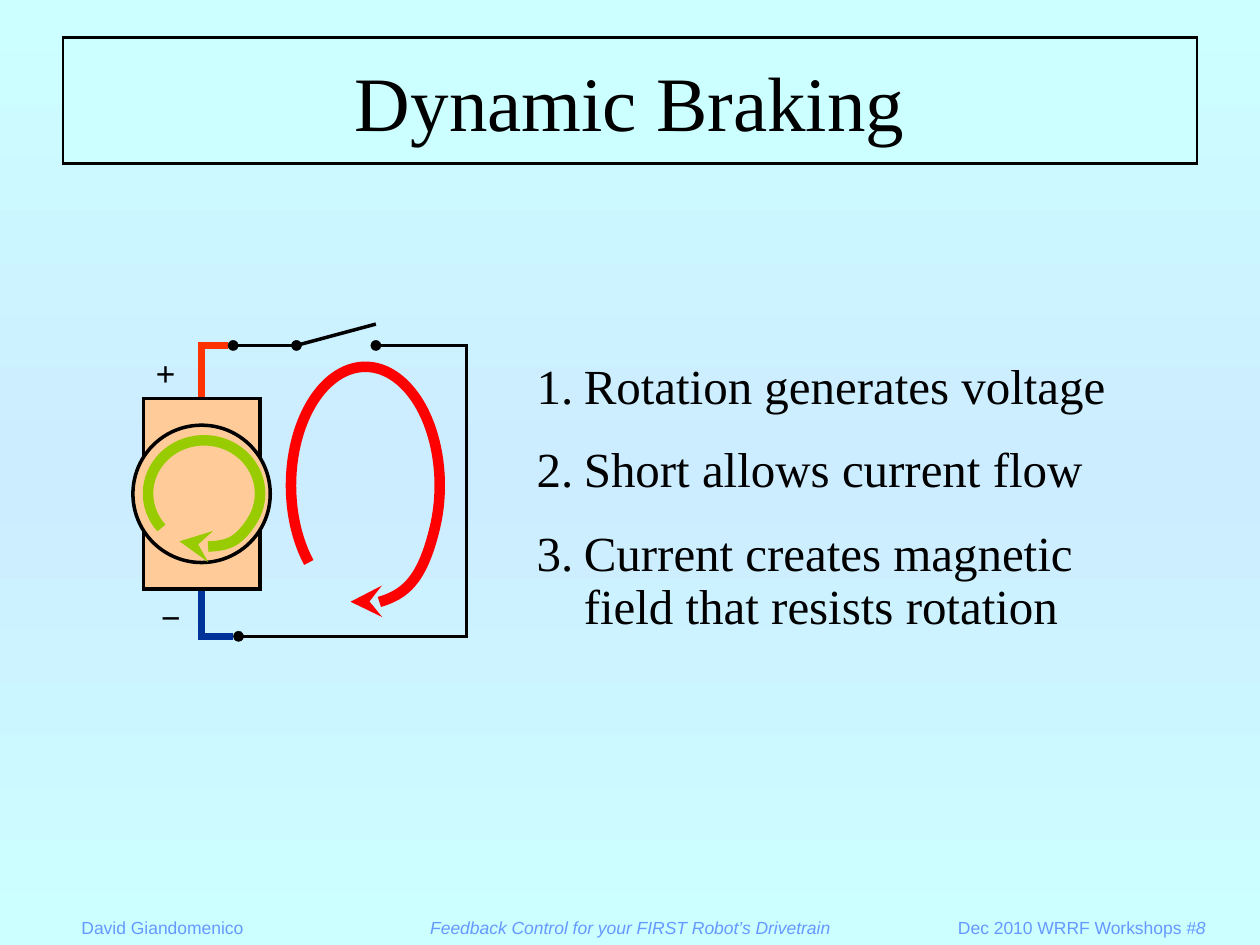
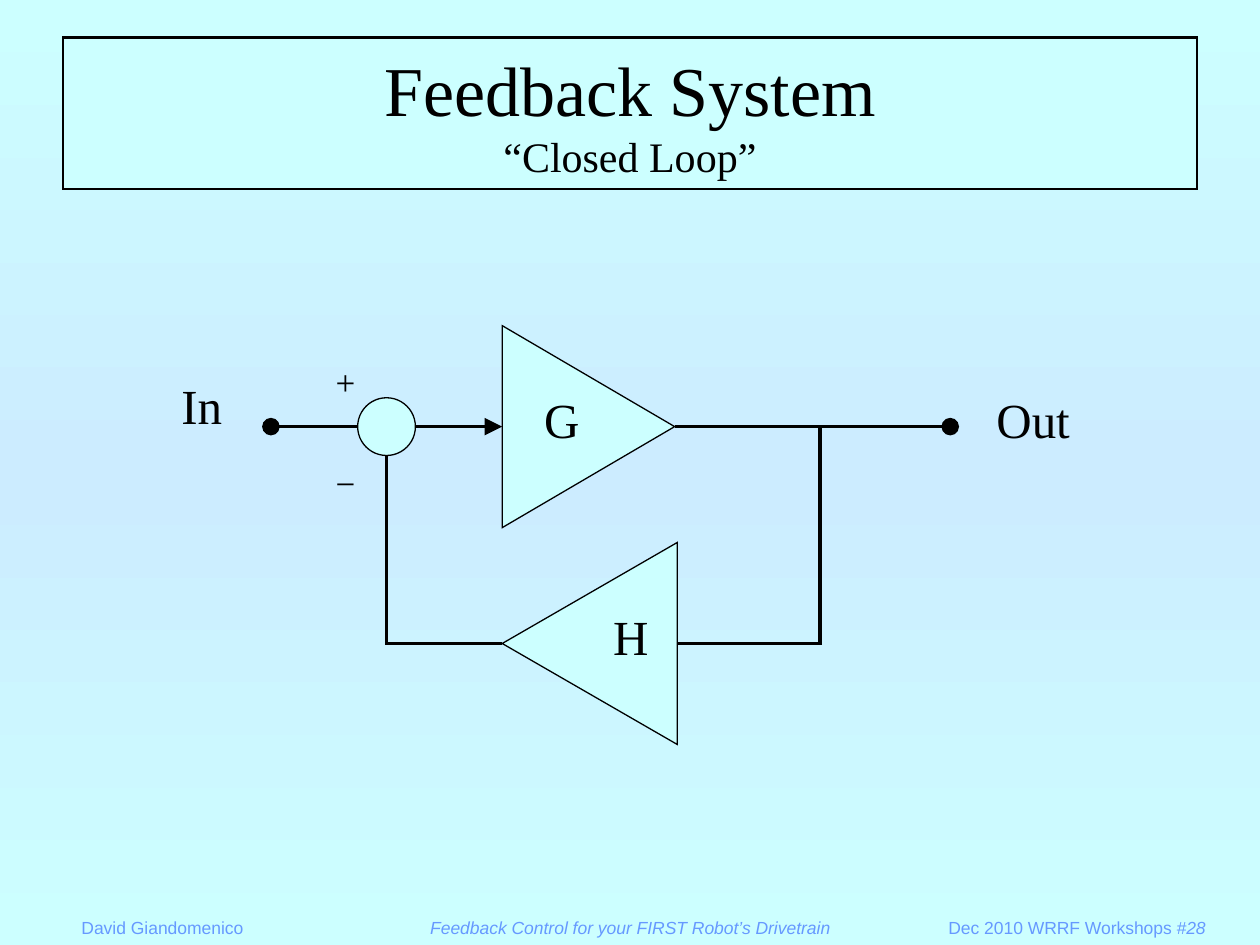
"""Builds two workshop slides: dynamic braking and a closed feedback loop."""
from copy import deepcopy
from math import cos, radians, sin, tan

from lxml import etree
from pptx import Presentation
from pptx.dml.color import RGBColor
from pptx.enum.shapes import MSO_CONNECTOR, MSO_SHAPE
from pptx.enum.text import MSO_ANCHOR, PP_ALIGN
from pptx.oxml.ns import qn
from pptx.util import Pt

RECTANGLE, OVAL = MSO_SHAPE.RECTANGLE, MSO_SHAPE.OVAL
TRIANGLE = MSO_SHAPE.ISOSCELES_TRIANGLE
STRAIGHT, ELBOW = MSO_CONNECTOR.STRAIGHT, MSO_CONNECTOR.ELBOW
LEFT, CENTER, RIGHT = PP_ALIGN.LEFT, PP_ALIGN.CENTER, PP_ALIGN.RIGHT
TOP, MIDDLE, BOTTOM = MSO_ANCHOR.TOP, MSO_ANCHOR.MIDDLE, MSO_ANCHOR.BOTTOM

COLORS = {
    "black": "000000", "pale": "CCFFFF", "sky": "CCECFF", "footer": "6699FF",
    "motor": "FFCC99", "positive": "FF3300", "negative": "003399",
    "current": "FF0000", "rotation": "99CC00",
}
BACKGROUND = [(0, "pale"), (0.5, "sky"), (1, "pale")]
BODY_FONT, FOOTER_FONT = "Times New Roman", "Arial"

AUTHOR = "David Giandomenico"
TALK = "Feedback Control for your FIRST Robot’s Drivetrain"
EVENT = "Dec 2010 WRRF Workshops "

BRAKING_TITLE = [("Dynamic Braking", {"size": 44})]
BRAKING_STEPS = [
    "Rotation generates voltage",
    "Short allows current flow",
    "Current creates magnetic field that resists rotation",
]
TERMINAL_SIGNS = [("+", 94.7, 213.1), ("−", 97.6, 352.5)]

FEEDBACK_TITLE = [("Feedback System", {"size": 40}), ("“Closed Loop”", {"size": 24})]
LOOP_LABELS = [("In", 115.2, 231.5), ("Out", 590.4, 239.4),
               ("G", 321.1, 239.4), ("H", 360.5, 363.4)]
SUM_SIGNS = [("+", 197.4, 218.2), ("−", 197.4, 276)]


def color(name):
    return RGBColor.from_string(COLORS[name])


def write(shape, paragraphs, *, size=28, font=BODY_FONT, ink="black", bold=False,
          align=CENTER, anchor=TOP, wrap=True, numbered=False):
    """Each paragraph is a list of (text, format) runs."""
    frame = shape.text_frame
    frame.word_wrap, frame.vertical_anchor = wrap, anchor
    for index, runs in enumerate(paragraphs):
        paragraph = frame.add_paragraph() if index else frame.paragraphs[0]
        paragraph.alignment = align
        if numbered:
            properties = paragraph._p.get_or_add_pPr()
            properties.set("marL", str(Pt(27)))
            properties.set("indent", str(-Pt(27)))
            etree.SubElement(properties, qn("a:buAutoNum"), type="arabicPeriod")
            paragraph.line_spacing = 0.9
            if index:
                paragraph.space_before = Pt(17.5)
        for text, style in runs:
            run = paragraph.add_run()
            run.text = text
            run.font.name = font
            run.font.size = Pt(style.get("size", size))
            run.font.bold = bold
            run.font.italic = style.get("italic", False)
            run.font.color.rgb = color(ink)


def add_text(slide, box, paragraphs, **style):
    write(slide.shapes.add_textbox(*map(Pt, box)), paragraphs, **style)


def add_labels(slide, labels, size, bold=False):
    height = 1.1 * size + 10
    for text, x, y in labels:
        width = size * (0.55 + 0.75 * len(text))
        add_text(slide, (x - width / 2, y - height / 2, width, height),
                 [[(text, {})]], size=size, bold=bold, wrap=False)


def draw_line(shape, ink, width, head=None, tail=None, arrow_size="med"):
    shape.line.color.rgb = color(ink)
    shape.line.width = Pt(width)
    line = shape.line._get_or_add_ln()
    etree.SubElement(line, qn("a:miter"), lim="800000")
    for end, arrow in (("a:headEnd", head), ("a:tailEnd", tail)):
        if arrow:
            etree.SubElement(line, qn(end), type=arrow, w=arrow_size, len=arrow_size)


def add_shape(slide, kind, box, fill, width):
    shape = slide.shapes.add_shape(kind, *map(Pt, box))
    shape.shadow.inherit = False
    shape.fill.solid()
    shape.fill.fore_color.rgb = color(fill)
    draw_line(shape, "black", width)
    return shape


def add_circle(slide, x, y, diameter, fill, width):
    radius = diameter / 2
    return add_shape(slide, OVAL, (x - radius, y - radius, diameter, diameter), fill, width)


def add_wire(slide, begin, end, ink="black", width=2, bend=None, **arrows):
    """A bend is the share of the horizontal span where the wire turns."""
    kind = STRAIGHT if bend is None else ELBOW
    wire = slide.shapes.add_connector(kind, *map(Pt, begin + end))
    if bend is not None:
        guides = wire._element.spPr.find(qn("a:prstGeom")).get_or_add_avLst()
        etree.SubElement(guides, qn("a:gd"), name="adj1", fmla=f"val {round(bend * 100000)}")
    draw_line(wire, ink, width, **arrows)
    etree.SubElement(wire._element.spPr, qn("a:effectLst"))


def add_path(slide, points, ink="black", width=2, **arrows):
    corners = [(Pt(x), Pt(y)) for x, y in points]
    builder = slide.shapes.build_freeform(*corners[0])
    builder.add_line_segments(corners[1:], close=False)
    shape = builder.convert_to_shape()
    shape.shadow.inherit = False
    shape.fill.background()
    draw_line(shape, ink, width, **arrows)
    return shape


def add_loop_arrow(slide, center, radii, start, end, ink):
    """Four cubic curves follow the ellipse from the start to the end angle."""
    curves = 4
    step = radians(end - start) / curves
    reach = 4 / 3 * tan(step / 4)

    def locate(angle, pull):
        return (center[0] + radii[0] * (cos(angle) - pull * sin(angle)),
                center[1] + radii[1] * (sin(angle) + pull * cos(angle)))

    points = [locate(radians(start), 0)]
    for index in range(curves):
        angle = radians(start) + index * step
        points += [locate(angle, reach), locate(angle + step, -reach), locate(angle + step, 0)]
    shape = add_path(slide, points, ink, 6, tail="stealth")
    outline = shape._element.xpath(".//a:path")[0]
    segments = outline.findall(qn("a:lnTo"))
    for index in range(0, len(segments), 3):
        curve = etree.SubElement(outline, qn("a:cubicBezTo"))
        for segment in segments[index:index + 3]:
            curve.append(segment[0])
            outline.remove(segment)


def add_amplifier(slide, left, right, middle, rotation):
    base, depth = 115.4, right - left
    box = ((left + right - base) / 2, middle - depth / 2, base, depth)
    add_shape(slide, TRIANGLE, box, "pale", 0.75).rotation = rotation


def set_background(master):
    fill = master.background.fill
    fill.gradient()
    fill.gradient_angle = 270
    stops = master.element.xpath(".//p:bg//a:gsLst")[0]
    stops.insert(1, deepcopy(stops[0]))
    for stop, (position, name) in zip(fill.gradient_stops, BACKGROUND):
        stop.position = position
        stop.color.rgb = color(name)


def add_slide(presentation, title, title_height, number):
    slide = presentation.slides.add_slide(presentation.slide_layouts[6])
    footers = [
        (39.5, 130, LEFT, [(AUTHOR, {})]),
        (205.5, 309, CENTER, [(TALK, {"italic": True})]),
        (514, 182, RIGHT, [(EVENT, {}), (f"#{number}", {"italic": True})]),
    ]
    for left, width, align, runs in footers:
        add_text(slide, (left, 520, width, 19.5), [runs], size=10, font=FOOTER_FONT,
                 ink="footer", align=align, anchor=BOTTOM)
    banner = add_shape(slide, RECTANGLE, (36, 21.6, 648, title_height), "pale", 1.5)
    write(banner, [[run] for run in title], anchor=MIDDLE)
    return slide


def build_braking(presentation):
    slide = add_slide(presentation, BRAKING_TITLE, 72, 8)
    axis, top_wire, bottom_wire = 115.2, 197.4, 363.6
    supply, pivot, contact, ground = 133.2, 169.4, 214.8, 136.3
    motor_top, motor_height, motor_width, return_x = 227.7, 109, 66.6, 266.5

    add_shape(slide, RECTANGLE, (axis - motor_width / 2, motor_top, motor_width, motor_height),
              "motor", 2)
    add_circle(slide, axis, motor_top + motor_height / 2, 78.5, "motor", 2)
    add_wire(slide, (supply - 3, top_wire), (axis, motor_top - 0.9), "positive", 4, bend=1)
    add_wire(slide, (ground - 3, bottom_wire), (axis, motor_top + motor_height + 1),
             "negative", 4, bend=1)
    add_wire(slide, (supply, top_wire), (pivot, top_wire))
    add_wire(slide, (pivot, top_wire), (contact, 185.2))
    add_wire(slide, (contact, top_wire), (ground, bottom_wire),
             bend=(return_x - contact) / (ground - contact))
    for x, y in ((supply, top_wire), (pivot, top_wire), (contact, top_wire),
                 (ground, bottom_wire)):
        add_circle(slide, x, y, 5.8, "black", 0.25)
    add_loop_arrow(slide, (208.8, 277.4), (42.5, 67.8), 139.5, 461.5, "current")
    add_loop_arrow(slide, (116.6, 282), (32, 30.4), 139.5, 476, "rotation")
    add_labels(slide, TERMINAL_SIGNS, 20, bold=True)
    add_text(slide, (299.5, 203.3, 365.8, 163.4), [[(step, {})] for step in BRAKING_STEPS],
             align=LEFT, numbered=True)


def build_feedback(presentation):
    slide = add_slide(presentation, FEEDBACK_TITLE, 86.4, 28)
    forward, feedback = 243.8, 367.7
    junction, amplifier_left, amplifier_right, tap = 220.9, 287, 385.5, 468.6

    add_wire(slide, (154.8, forward), (amplifier_left, forward),
             head="oval", tail="triangle", arrow_size="lg")
    add_wire(slide, (amplifier_right, forward), (543, forward), tail="oval", arrow_size="lg")
    add_path(slide, [(tap, forward), (tap, feedback), (amplifier_right, feedback)])
    add_path(slide, [(amplifier_left, feedback), (junction, feedback), (junction, forward)])
    add_amplifier(slide, amplifier_left, amplifier_right, forward, 90)
    add_amplifier(slide, amplifier_left, amplifier_right + 1.5, feedback, 270)
    add_circle(slide, junction, forward, 33, "pale", 0.75)
    add_labels(slide, LOOP_LABELS, 28)
    add_labels(slide, SUM_SIGNS, 20)


def main():
    presentation = Presentation()
    presentation.slide_width, presentation.slide_height = Pt(720), Pt(540)
    set_background(presentation.slide_master)
    build_braking(presentation)
    build_feedback(presentation)
    presentation.save("out.pptx")


if __name__ == "__main__":
    main()
